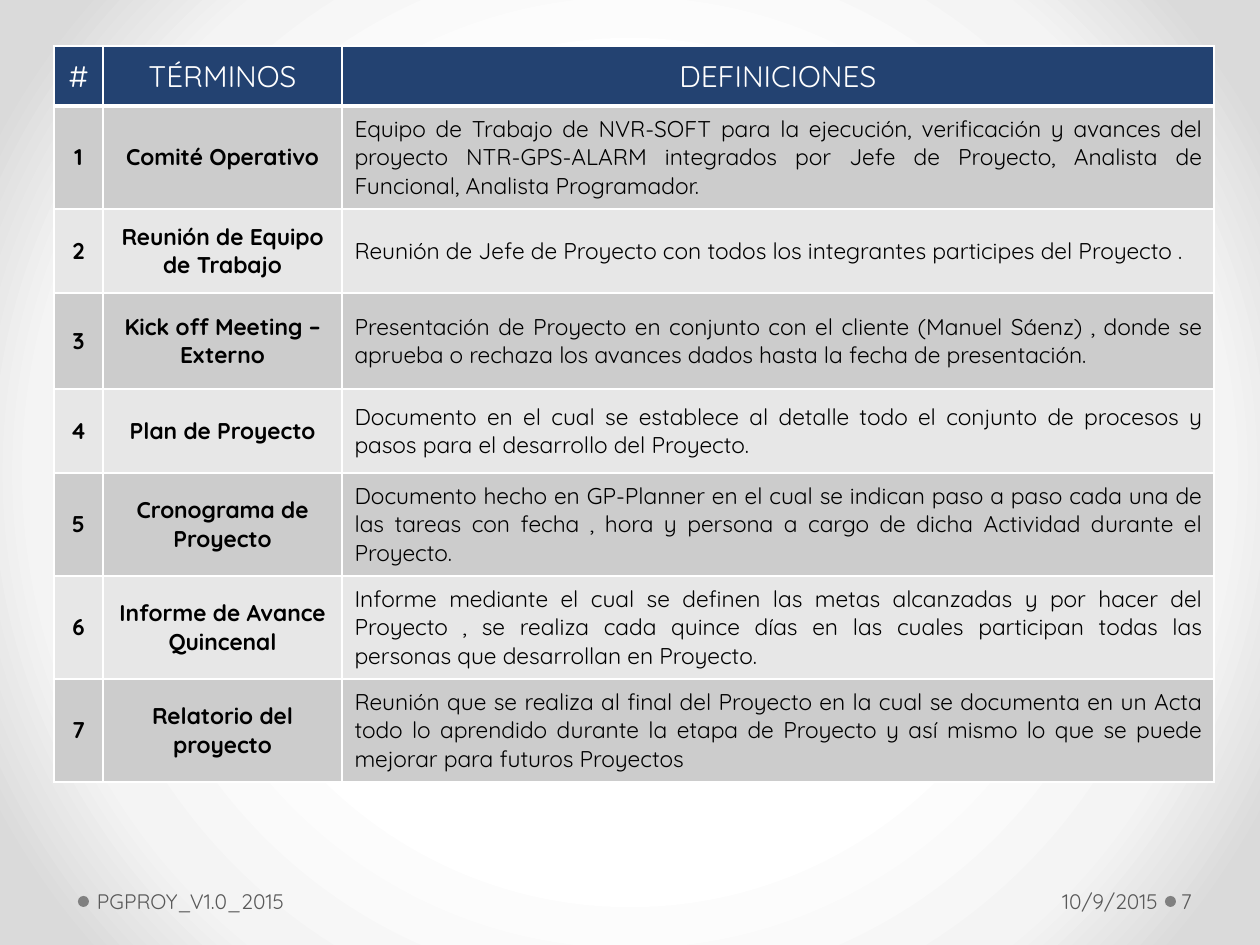
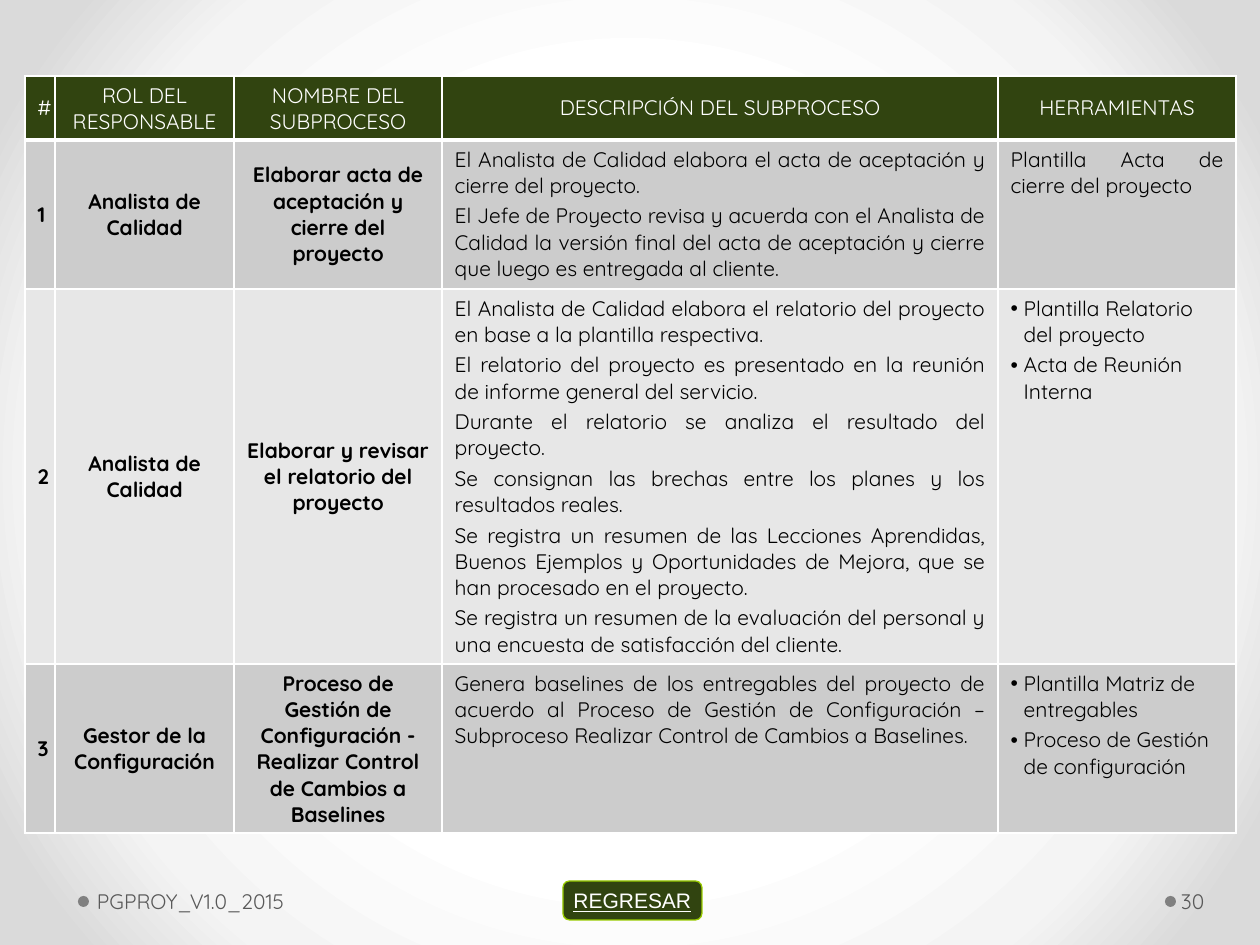
import dataclasses

import pptx
import pptx.dml.color
import pptx.enum.shapes
import pptx.enum.text
import pptx.oxml
import pptx.oxml.ns
import pptx.util

ALIGN = pptx.enum.text.PP_ALIGN
MIDDLE = pptx.enum.text.MSO_ANCHOR.MIDDLE
TOP = pptx.enum.text.MSO_ANCHOR.TOP
SHAPE = pptx.enum.shapes.MSO_SHAPE
NS = pptx.oxml.ns.nsdecls("a")
SCALE = 914400 / 126


@dataclasses.dataclass(frozen=True)
class Theme:
    """Colours, fonts and type sizes of the deck."""
    font: str = "Quicksand"
    plain: str = "Arial"
    navy: str = "234271"
    olive: str = "314410"
    lime: str = "99CC00"
    white: str = "FFFFFF"
    ink: str = "000000"
    grey: str = "595959"
    dot: str = "808080"
    bands: tuple = ("CCCCCC", "E7E7E7")
    glow: tuple = ((50, "FFFFFF"), (76, "F4F4F4"), (92, "DADADA"))
    small: int = 12
    body: int = 13
    head: int = 17


@dataclasses.dataclass(frozen=True)
class Box:
    """A region in px."""
    x: int
    y: int
    w: int
    h: int

    def emu(self):
        """Give the four lengths in EMU."""
        return [px(n) for n in (self.x, self.y, self.w, self.h)]


THEME = Theme()
PAGE = Box(0, 0, 1260, 945)
FOOT = Box(78, 876, 1171, 50)

TERMS = [
    ("#", "TÉRMINOS", "DEFINICIONES"),
    ("1", "Comité Operativo",
     "Equipo de Trabajo de NVR-SOFT para la ejecución, verificación y avances del proyecto "
     "NTR-GPS-ALARM integrados por Jefe de Proyecto, Analista de Funcional, Analista Programador."),
    ("2", "Reunión de Equipo de Trabajo",
     "Reunión de Jefe de Proyecto con todos los integrantes participes del Proyecto ."),
    ("3", "Kick off Meeting – Externo",
     "Presentación de Proyecto en conjunto con el cliente (Manuel Sáenz) , donde se aprueba o "
     "rechaza los avances dados hasta la fecha de presentación."),
    ("4", "Plan de Proyecto",
     "Documento en el cual se establece al detalle todo el conjunto de procesos y pasos para el "
     "desarrollo del Proyecto."),
    ("5", "Cronograma de Proyecto",
     "Documento hecho en GP-Planner en el cual se indican paso a paso cada una de las tareas con "
     "fecha , hora y persona a cargo de dicha Actividad durante el Proyecto."),
    ("6", "Informe de Avance Quincenal",
     "Informe mediante el cual se definen las metas alcanzadas y por hacer del Proyecto , se "
     "realiza cada quince días en las cuales participan todas las personas que desarrollan en "
     "Proyecto."),
    ("7", "Relatorio del proyecto",
     "Reunión que se realiza al final del Proyecto en la cual se documenta en un Acta todo lo "
     "aprendido durante la etapa de Proyecto y así mismo lo que se puede mejorar para futuros "
     "Proyectos"),
]

TASKS = [
    ("#", "ROL DEL RESPONSABLE", "NOMBRE DEL SUBPROCESO", "DESCRIPCIÓN DEL SUBPROCESO",
     "HERRAMIENTAS"),
    ("1", "Analista de Calidad", "Elaborar acta de aceptación y cierre del proyecto",
     ("El Analista de Calidad elabora el acta de aceptación y cierre del proyecto.",
      "El Jefe de Proyecto revisa y acuerda con el Analista de Calidad la versión final del acta "
      "de aceptación y cierre que luego es entregada al cliente."),
     "Plantilla Acta de cierre del proyecto"),
    ("2", "Analista de Calidad", "Elaborar y revisar el relatorio del proyecto",
     ("El Analista de Calidad elabora el relatorio del proyecto en base a la plantilla respectiva.",
      "El relatorio del proyecto es presentado en la reunión de informe general del servicio.",
      "Durante el relatorio se analiza el resultado del proyecto.",
      "Se consignan las brechas entre los planes y los resultados reales.",
      "Se registra un resumen de las Lecciones Aprendidas, Buenos Ejemplos y Oportunidades de "
      "Mejora, que se han procesado en el proyecto.",
      "Se registra un resumen de la evaluación del personal y una encuesta de satisfacción del "
      "cliente."),
     ["Plantilla Relatorio del proyecto", "Acta de Reunión Interna"]),
    ("3", "Gestor de la Configuración",
     "Proceso de Gestión de Configuración - Realizar Control de Cambios a Baselines",
     "Genera baselines de los entregables del proyecto de acuerdo al Proceso de Gestión de "
     "Configuración – Subproceso Realizar Control de Cambios a Baselines.",
     ["Plantilla Matriz de entregables", "Proceso de Gestión de configuración"]),
]


def px(n):
    """Turn px into EMU."""
    return pptx.util.Emu(round(n * SCALE))


def rgb(code):
    """Turn a hex code into a colour."""
    return pptx.dml.color.RGBColor.from_string(code)


def paint(item, code):
    """Fill a shape or cell with one colour."""
    item.fill.solid()
    item.fill.fore_color.rgb = rgb(code)


def style(para, size, code, bold=False, font=THEME.font):
    """Format the runs of a paragraph."""
    for run in para.runs:
        run.font.name = font
        run.font.size = pptx.util.Pt(size)
        run.font.bold = bold
        run.font.color.rgb = rgb(code)


def bullet(para):
    """Give a paragraph a hanging dot."""
    props = para._p.get_or_add_pPr()
    props.set("marL", str(px(13)))
    props.set("indent", str(px(-13)))
    for tag in (f'<a:buFont {NS} typeface="{THEME.plain}"/>', f'<a:buChar {NS} char="•"/>'):
        props.append(pptx.oxml.parse_xml(tag))


def edge(cell, base):
    """Draw white borders round a cell, with a given width at its base."""
    props = cell._tc.get_or_add_tcPr()
    for spot, (side, width) in enumerate((("L", 1), ("R", 1), ("T", 1), ("B", base))):
        props.insert(spot, pptx.oxml.parse_xml(
            f'<a:ln{side} {NS} w="{pptx.util.Pt(width)}"><a:solidFill>'
            f'<a:srgbClr val="{THEME.white}"/></a:solidFill></a:ln{side}>'))


def backdrop(master):
    """Lay the round grey glow behind all slides."""
    fill = master.background.fill
    fill.gradient()
    old = master.element.xpath("./p:cSld/p:bg/p:bgPr/a:gradFill")[0]
    stops = "".join(f'<a:gs pos="{pos * 1000}"><a:srgbClr val="{code}"/></a:gs>'
                    for pos, code in THEME.glow)
    old.getparent().replace(old, pptx.oxml.parse_xml(
        f'<a:gradFill {NS} rotWithShape="1"><a:gsLst>{stops}</a:gsLst><a:path path="circle">'
        '<a:fillToRect l="50000" t="50000" r="50000" b="50000"/></a:path></a:gradFill>'))


def label(slide, box, text, left=6, right=6, align=ALIGN.LEFT):
    """Write one grey footer line."""
    frame = slide.shapes.add_textbox(*box.emu()).text_frame
    frame.word_wrap = True
    frame.vertical_anchor = MIDDLE
    frame.margin_left, frame.margin_right = px(left), px(right)
    frame.text = text
    frame.paragraphs[0].alignment = align
    style(frame.paragraphs[0], THEME.small, THEME.grey)


def footer(slide, box, number, date=None):
    """Place the dots, code, date and slide number in a footer box."""
    for x in (0, 1087):
        dot = slide.shapes.add_shape(SHAPE.OVAL, *Box(box.x + x, box.y + 20, 11, 11).emu())
        dot.shadow.inherit = False
        dot.line.fill.background()
        paint(dot, THEME.dot)
    label(slide, Box(box.x + 13, box.y, 499, box.h), "PGPROY_V1.0_2015", right=13)
    label(slide, Box(box.x + 1099, box.y, 77, box.h), number, left=4)
    if date:
        label(slide, Box(box.x + 799, box.y, 287, box.h), date, left=13, align=ALIGN.RIGHT)


def fill_cell(cell, text, size, code, bold, align, gap):
    """Write a cell, where a list stands for bullets."""
    parts = [text] if isinstance(text, str) else text
    cell.text_frame.text = "\n".join(parts)
    for para in cell.text_frame.paragraphs:
        para.alignment = ALIGN.LEFT if isinstance(text, list) else align
        para.space_before = pptx.util.Pt(gap)
        style(para, size, code, bold)
        if isinstance(text, list):
            bullet(para)


def grid(slide, box, rows, widths, heights, tint, sizes, keys, anchor):
    """Build a banded table whose first keys columns are bold and centred."""
    table = slide.shapes.add_table(len(rows), len(widths), *box.emu()).table
    table.horz_banding = False
    for col, width in zip(table.columns, widths):
        col.width = px(width)
    for r, (row, height) in enumerate(zip(rows, heights)):
        table.rows[r].height = px(height)
        for c, text in enumerate(row):
            cell = table.cell(r, c)
            key = c < keys
            if r == 0:
                paint(cell, tint)
                fill_cell(cell, text, sizes[0], THEME.white, False, ALIGN.CENTER, 0)
            else:
                paint(cell, THEME.bands[(r - 1) % 2])
                align = ALIGN.CENTER if key else ALIGN.JUSTIFY
                gap = sizes[1] / 5 if c else 0
                fill_cell(cell, text, sizes[1], THEME.ink, key, align, gap)
            cell.vertical_anchor = MIDDLE if r == 0 or key else anchor
            edge(cell, 1 if r else 3)


def button(slide, box, text):
    """Draw the rounded return button."""
    shape = slide.shapes.add_shape(SHAPE.FLOWCHART_ALTERNATE_PROCESS, *box.emu())
    shape.shadow.inherit = False
    paint(shape, THEME.olive)
    shape.line.color.rgb = rgb(THEME.lime)
    shape.line.width = pptx.util.Pt(0.75)
    frame = shape.text_frame
    frame.word_wrap = False
    frame.vertical_anchor = MIDDLE
    frame.text = text
    para = frame.paragraphs[0]
    para.alignment = ALIGN.CENTER
    style(para, THEME.small, THEME.white, font=THEME.plain)
    para.runs[0].font.underline = True


def terms(slide):
    """Build the glossary slide."""
    grid(slide, Box(54, 46, 1160, 739), TERMS, (49, 239, 872),
         (60, 103, 84, 96, 84, 103, 103, 103), THEME.navy,
         (THEME.head, THEME.body), 2, MIDDLE)
    footer(slide, FOOT, "7", "10/9/2015")


def tasks(slide):
    """Build the subprocess slide."""
    grid(slide, Box(25, 76, 1211, 757), TASKS, (30, 179, 208, 556, 238),
         (64, 149, 375, 169), THEME.olive, (THEME.small, THEME.small), 3, TOP)
    footer(slide, FOOT, "30")
    button(slide, Box(563, 881, 139, 39), "REGRESAR")


def main():
    """Build and save the deck."""
    deck = pptx.Presentation()
    deck.slide_width, deck.slide_height = px(PAGE.w), px(PAGE.h)
    backdrop(deck.slide_master)
    for build in (terms, tasks):
        build(deck.slides.add_slide(deck.slide_layouts[6]))
    deck.save("out.pptx")


if __name__ == "__main__":
    main()
